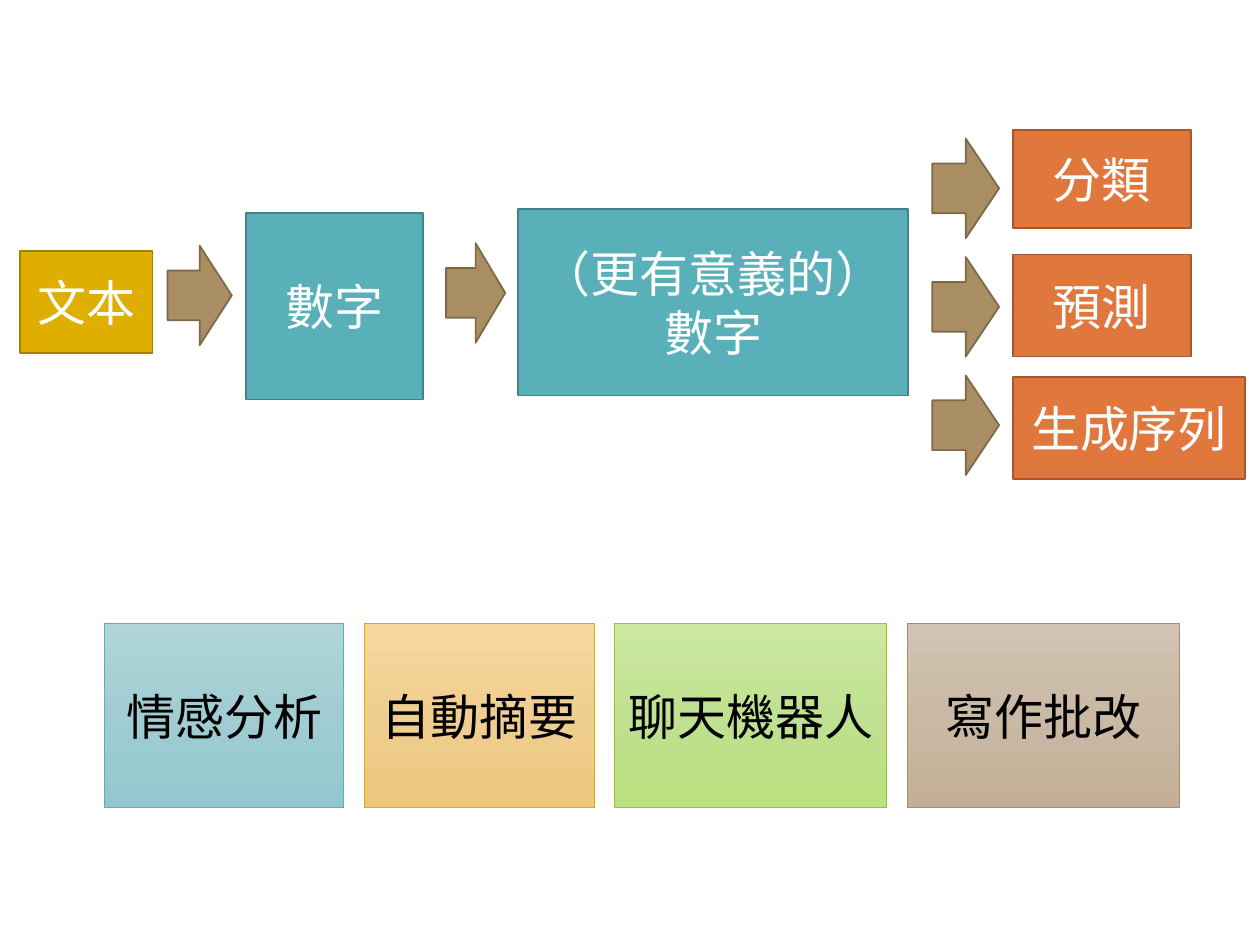
from copy import deepcopy

from pptx import Presentation
from pptx.dml.color import RGBColor
from pptx.enum import shapes, text
from pptx.oxml import ns
from pptx.util import Inches, Pt

COLORS = {
    "white": "FFFFFF", "black": "000000",
    "teal": "59B0B9", "teal_edge": "428289",
    "orange": "E0773C", "orange_edge": "A6582C",
    "gold": "DEAE00", "gold_edge": "A48100",
    "brown": "A98D63", "brown_edge": "7D6849",
    "green": "98C723",
}
LATIN, CJK = "Calibri", "Noto Sans CJK TC"

# label, color, (left, top, width, height)
STAGES = [
    ("文本", "gold", (0.16, 1.99, 1.05, 0.81)),
    ("數字", "teal", (1.95, 1.69, 1.41, 1.48)),
    ("（更有意義的）數字", "teal", (4.11, 1.66, 3.1, 1.48)),
    ("分類", "orange", (8.04, 1.03, 1.41, 0.78)),
    ("預測", "orange", (8.04, 2.02, 1.41, 0.81)),
    ("生成序列", "orange", (8.04, 2.99, 1.84, 0.81)),
]

ARROW_HEIGHT = 0.79
OUTPUT_TOP, OUTPUT_PITCH = 1.1, 0.94
# left, top, width
ARROWS = [(1.33, 1.95, 0.51), (3.54, 1.93, 0.47)]
ARROWS += [(7.4, OUTPUT_TOP + row * OUTPUT_PITCH, 0.53) for row in range(3)]

APP_LEFT, APP_TOP, APP_HEIGHT, APP_GAP = 0.83, 4.95, 1.46, 0.16
# label, width, line color, gradient from top to bottom
APPLICATIONS = [
    ("情感分析", 1.9, "teal", ("AFD5D9", "A1CDD2", "91C8CF")),
    ("自動摘要", 1.83, "gold", ("F8D79D", "EFCE90", "EDC77C")),
    ("聊天機器人", 2.16, "green", ("CAE99F", "C0E092", "B9E17D")),
    ("寫作批改", 2.16, "brown", ("D1C3B2", "C9B9A5", "C3AF96")),
]


def rgb(name):
    return RGBColor.from_string(COLORS[name])


def add_box(page, kind, bounds, line, line_width=1, fill=None):
    box = page.shapes.add_shape(kind, *(Inches(value) for value in bounds))
    box.shadow.inherit = False
    box.line.color.rgb = rgb(line)
    box.line.width = Pt(line_width)
    if fill:
        box.fill.solid()
        box.fill.fore_color.rgb = rgb(fill)
    return box


def fill_gradient(box, hexes):
    """Shade the box from top to bottom through three evenly spaced colors."""
    box.fill.gradient()
    box.fill.gradient_angle = 270
    stops = box._element.spPr.find(".//" + ns.qn("a:gsLst"))
    middle = deepcopy(stops[0])
    middle.set("pos", "50000")
    stops.insert(1, middle)
    for stop, value in zip(box.fill.gradient_stops, hexes):
        stop.color.rgb = RGBColor.from_string(value)


def write(box, label, color="white", font=LATIN, size=28):
    frame = box.text_frame
    frame.word_wrap = True
    frame.vertical_anchor = text.MSO_ANCHOR.MIDDLE
    para = frame.paragraphs[0]
    para.alignment = text.PP_ALIGN.CENTER
    span = para.add_run()
    span.text = label
    span.font.size = Pt(size)
    span.font.color.rgb = rgb(color)
    span.font.name = font
    east_asian = span.font._element.makeelement(ns.qn("a:ea"), {"typeface": CJK})
    span.font._element.append(east_asian)


def main():
    deck = Presentation()
    deck.slide_width, deck.slide_height = Inches(10), Inches(7.5)
    page = deck.slides.add_slide(deck.slide_layouts[6])
    rectangle = shapes.MSO_SHAPE.RECTANGLE

    for label, color, bounds in STAGES:
        box = add_box(page, rectangle, bounds, color + "_edge", fill=color)
        write(box, label)

    for left, top, width in ARROWS:
        add_box(page, shapes.MSO_SHAPE.RIGHT_ARROW,
                (left, top, width, ARROW_HEIGHT), "brown_edge", fill="brown")

    left = APP_LEFT
    for label, width, line, hexes in APPLICATIONS:
        box = add_box(page, rectangle, (left, APP_TOP, width, APP_HEIGHT), line, 0.5)
        fill_gradient(box, hexes)
        write(box, label, color="black", font=CJK)
        left += width + APP_GAP

    deck.save("out.pptx")


if __name__ == "__main__":
    main()
